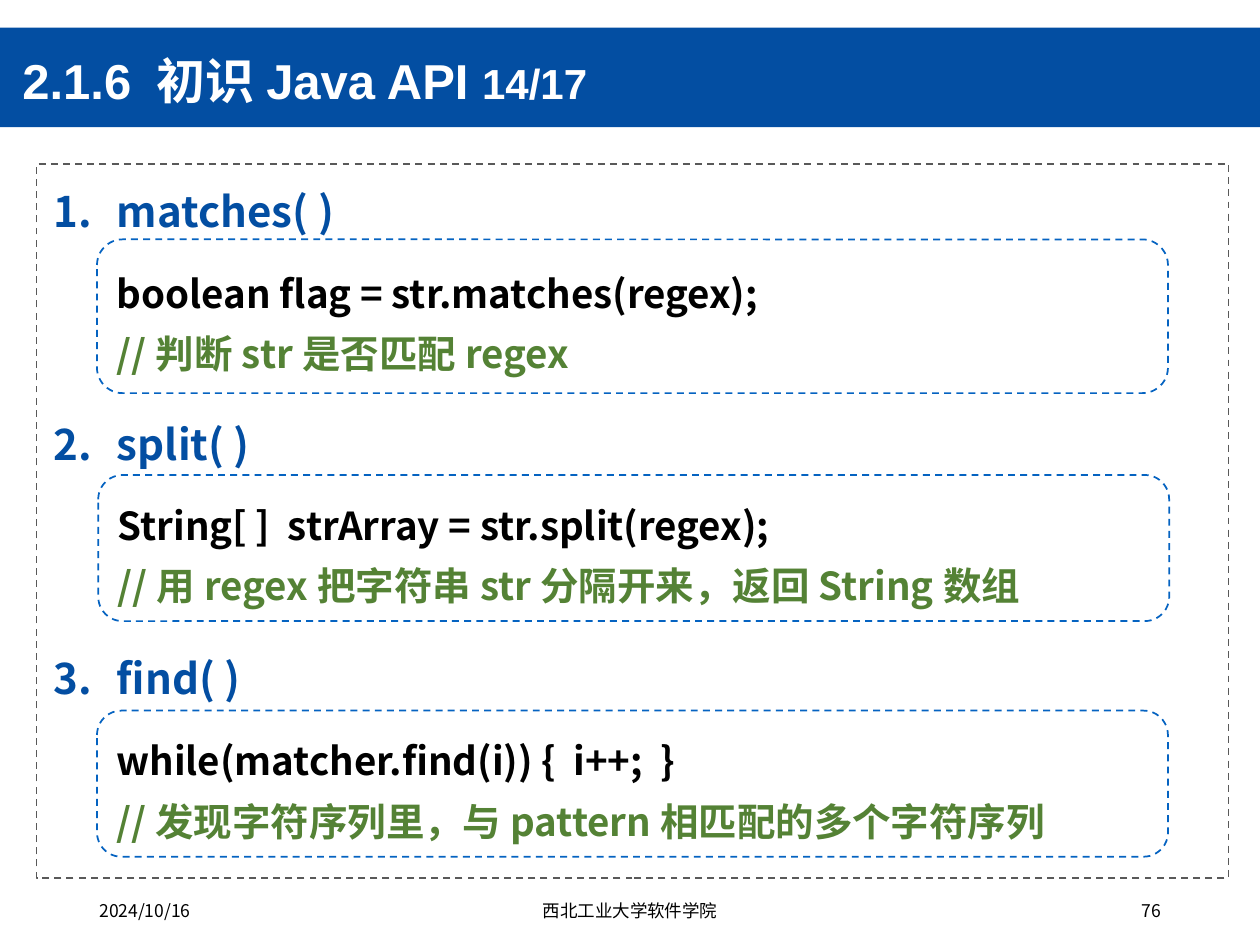
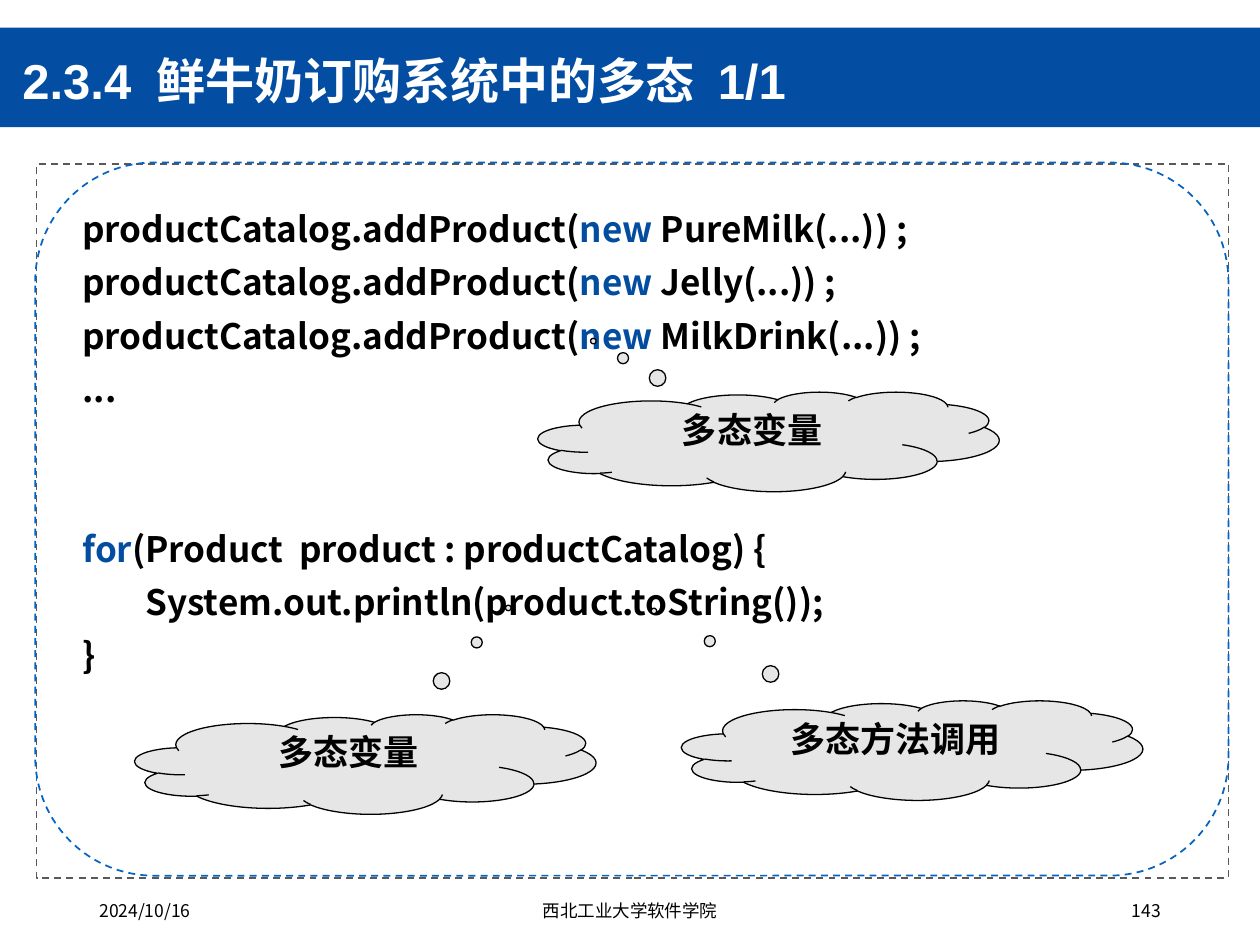
from dataclasses import dataclass

from lxml.etree import SubElement
from pptx import Presentation
from pptx.dml.color import RGBColor
from pptx.enum.dml import MSO_LINE_DASH_STYLE as Dash
from pptx.enum.shapes import MSO_SHAPE as Shape
from pptx.enum.text import MSO_ANCHOR as Anchor, PP_ALIGN as Align
from pptx.oxml.ns import qn
from pptx.util import Inches, Pt

COLUMNS, ROWS = 100, 75
CELL = Inches(0.1)
SANS, TITLE_FONT = "Noto Sans CJK SC", "Arial"
BLUE, KEYWORD, CODE_EDGE = "034EA2", "034DA0", "0563C1"
COMMENT, FRAME_EDGE, CLOUD_FILL = "548235", "595959", "E7E6E6"
BLACK, WHITE = "000000", "FFFFFF"


@dataclass
class Box:
    left: float
    top: float
    width: float
    height: float

    def inner(self, left, top, width, height):
        return Box(self.left + left, self.top + top, width, height)

    def lengths(self):
        return [round(n * CELL) for n in (self.left, self.top, self.width, self.height)]


SLIDE = Box(0, 0, COLUMNS, ROWS)
BAND = SLIDE.inner(0, 2.2, COLUMNS, 7.9)
FRAME = SLIDE.inner(2.9, 13, 94.6, 56.7)
FOOTER = SLIDE.inner(6.9, 70.3, 86.2, 4)


def color(value):
    return RGBColor.from_string(value)


def add_shape(page, kind, box, fill=None, edge=None, weight=1, dash=None):
    shape = page.shapes.add_shape(kind, *box.lengths())
    shape.shadow.inherit = False
    if fill:
        shape.fill.solid()
        shape.fill.fore_color.rgb = color(fill)
    else:
        shape.fill.background()
    if edge:
        shape.line.color.rgb = color(edge)
        shape.line.width = Pt(weight)
        shape.line.dash_style = dash
    else:
        shape.line.fill.background()
    return shape


def add_text(page, box, anchor=Anchor.TOP):
    frame = page.shapes.add_textbox(*box.lengths()).text_frame
    frame.word_wrap = True
    frame.vertical_anchor = anchor
    return frame


def add_para(frame, spans, size, tint=BLACK, bold=True, font=SANS, align=Align.LEFT,
             spacing=1.0, before=0, indent=0, numbered=False):
    first = not frame.paragraphs[0].runs
    para = frame.paragraphs[0] if first else frame.add_paragraph()
    para.alignment = align
    para.line_spacing = spacing
    para.space_before = Pt(0 if first else before)
    props = para._p.get_or_add_pPr()
    if indent:
        props.set("indent", str(Inches(indent)))
    if numbered:
        props.set("marL", str(Inches(-indent)))
        bullet_color = SubElement(props, qn("a:buClr"))
        SubElement(bullet_color, qn("a:srgbClr"), val=tint)
        SubElement(props, qn("a:buFont"), typeface=SANS)
        SubElement(props, qn("a:buAutoNum"), type="arabicPeriod")
    para.font.size = Pt(size)
    para.font.bold = bold
    para.font.color.rgb = color(tint)
    para.font.name = font
    SubElement(para.font._element, qn("a:ea"), typeface=SANS)
    for text, span_color, span_size in spans:
        span = para.add_run()
        span.text = text
        if span_color:
            span.font.color.rgb = color(span_color)
        if span_size:
            span.font.size = Pt(span_size)


def plain(text):
    return [(text, None, None)]


def place_title(page, box, spans):
    add_shape(page, Shape.RECTANGLE, box, fill=BLUE)
    frame = add_text(page, box.inner(0.8, 1.1, 73.5, 6.6), Anchor.MIDDLE)
    add_para(frame, spans, 28, WHITE, font=TITLE_FONT, spacing=0.9)


def place_footer(page, box, number):
    side, middle = 22.5, 33.8
    cells = [
        ("2024/10/16", 0, side, Align.LEFT),
        ("西北工业大学软件学院", (box.width - middle) / 2, middle, Align.CENTER),
        (str(number), box.width - side, side, Align.RIGHT),
    ]
    for text, left, width, align in cells:
        frame = add_text(page, box.inner(left, 0, width, box.height), Anchor.MIDDLE)
        add_para(frame, plain(text), 10, bold=False, align=align)


def start_page(deck, title, number):
    page = deck.slides.add_slide(deck.slide_layouts[6])
    place_title(page, BAND, title)
    add_shape(page, Shape.RECTANGLE, FRAME, edge=FRAME_EDGE, dash=Dash.DASH)
    place_footer(page, FOOTER, number)
    return page


def add_code_box(page, box, anchor=Anchor.MIDDLE):
    shape = add_shape(page, Shape.ROUNDED_RECTANGLE, box, edge=CODE_EDGE, dash=Dash.DASH)
    frame = shape.text_frame
    frame.word_wrap = True
    frame.vertical_anchor = anchor
    return frame


def place_methods(page, box, methods):
    headings = add_text(page, box.inner(0.4, 0.4, 93.8, 55.6))
    step = 18.7
    for index, (name, code, comment, nudge, height) in enumerate(methods):
        add_para(headings, plain(name), 24, BLUE, spacing=1.2, before=99,
                 indent=-0.5, numbered=True)
        frame = add_code_box(page, box.inner(4.8 + nudge, 6 + index * step, 85, height))
        add_para(frame, plain(code), 22, spacing=1.3)
        add_para(frame, plain(comment), 22, COMMENT, spacing=1.3)


def place_listing(page, box):
    line_gap, block_gap = 4, 65
    frame = add_code_box(page, box, Anchor.TOP)
    lines = [([("productCatalog.addProduct(", None, None), ("new ", KEYWORD, None),
               (f"{product}(...)) ;", None, None)], line_gap, 0)
             for product in ("PureMilk", "Jelly", "MilkDrink")]
    lines += [
        (plain("..."), line_gap, 0),
        ([("for", KEYWORD, None),
          ("(Product  product : productCatalog) {", None, None)], block_gap, 0),
        (plain("System.out.println(product.toString());"), line_gap, 0.5),
        (plain("}"), line_gap, 0),
    ]
    for spans, before, indent in lines:
        add_para(frame, spans, 20, spacing=1.1, before=before, indent=indent)


def place_clouds(page, box, clouds):
    for text, left, top, tail in clouds:
        cloud = add_shape(page, Shape.CLOUD_CALLOUT, box.inner(left, top, 36.6, 7.9),
                          CLOUD_FILL, BLACK, 0.75)
        for index, value in enumerate(tail):
            cloud.adjustments[index] = value
        cloud.text_frame.word_wrap = True
        cloud.text_frame.vertical_anchor = Anchor.TOP
        add_para(cloud.text_frame, plain(text), 20, align=Align.CENTER, spacing=0.9)


def build_methods_page(deck):
    page = start_page(deck, [("2.1.6 初识Java API ", None, None), ("14/17", None, 24)], 76)
    place_methods(page, FRAME, [
        ("matches( )", "boolean flag = str.matches(regex);",
         "//判断str是否匹配regex", 0, 12.2),
        ("split( )", "String[ ]  strArray = str.split(regex);",
         "//用regex把字符串str分隔开来，返回String数组", 0.1, 11.6),
        ("find( )", "while(matcher.find(i)) {  i++;  }",
         "//发现字符序列里，与pattern相匹配的多个字符序列", 0, 11.6),
    ])


def build_polymorphism_page(deck):
    page = start_page(deck, plain("2.3.4 鲜牛奶订购系统中的多态 1/1"), 143)
    place_listing(page, FRAME.inner(-0.1, -0.1, 94.7, 56.6))
    place_clouds(page, FRAME, [
        ("多态变量", 39.8, 18.1, (-0.38, -1.01)),
        ("多态方法调用", 51.2, 42.6, (-0.56, -1.4)),
        ("多态变量", 7.8, 43.7, (0.31, -1.57)),
    ])


def main():
    deck = Presentation()
    deck.slide_width, deck.slide_height = COLUMNS * CELL, ROWS * CELL
    build_methods_page(deck)
    build_polymorphism_page(deck)
    deck.save("out.pptx")


if __name__ == "__main__":
    main()
